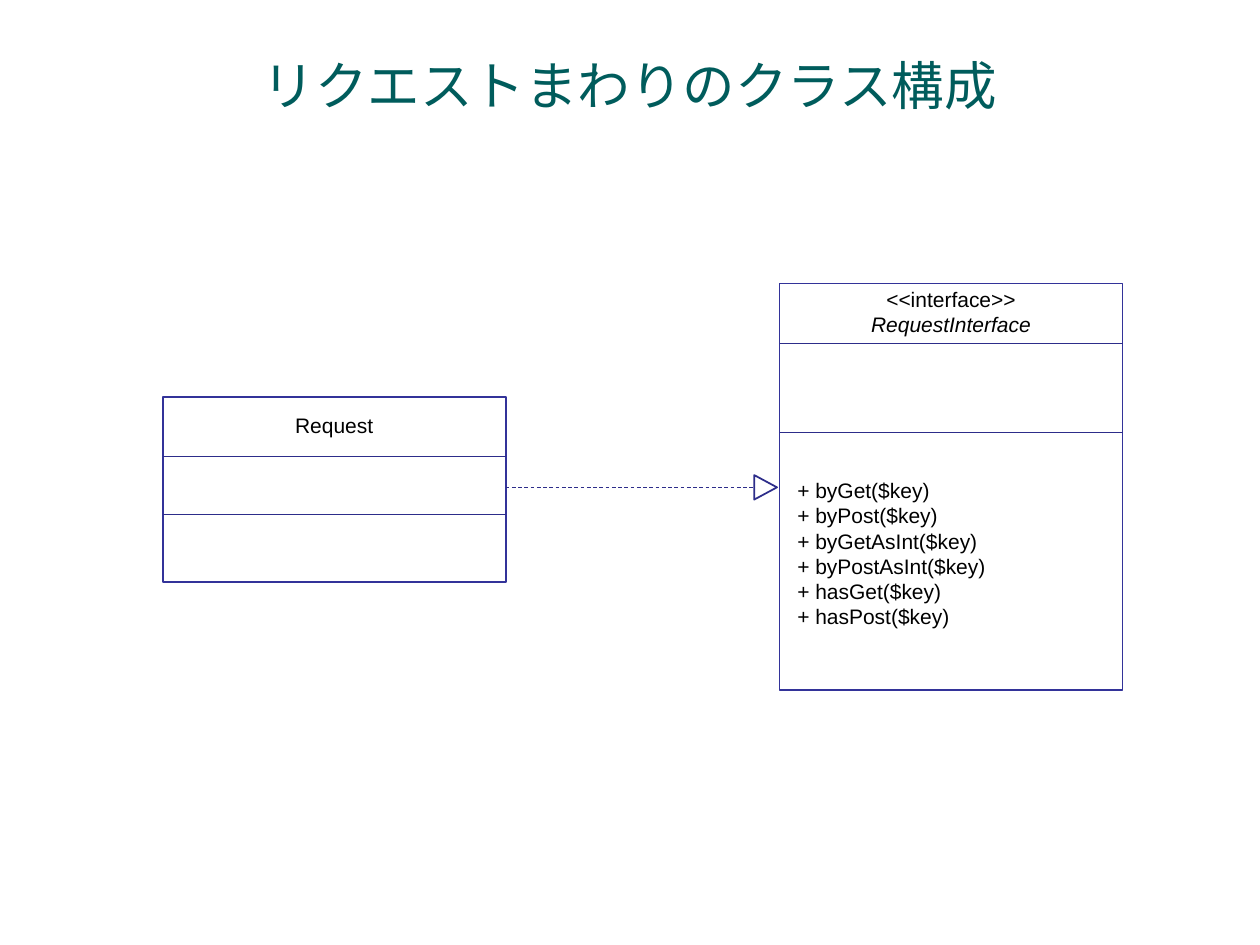
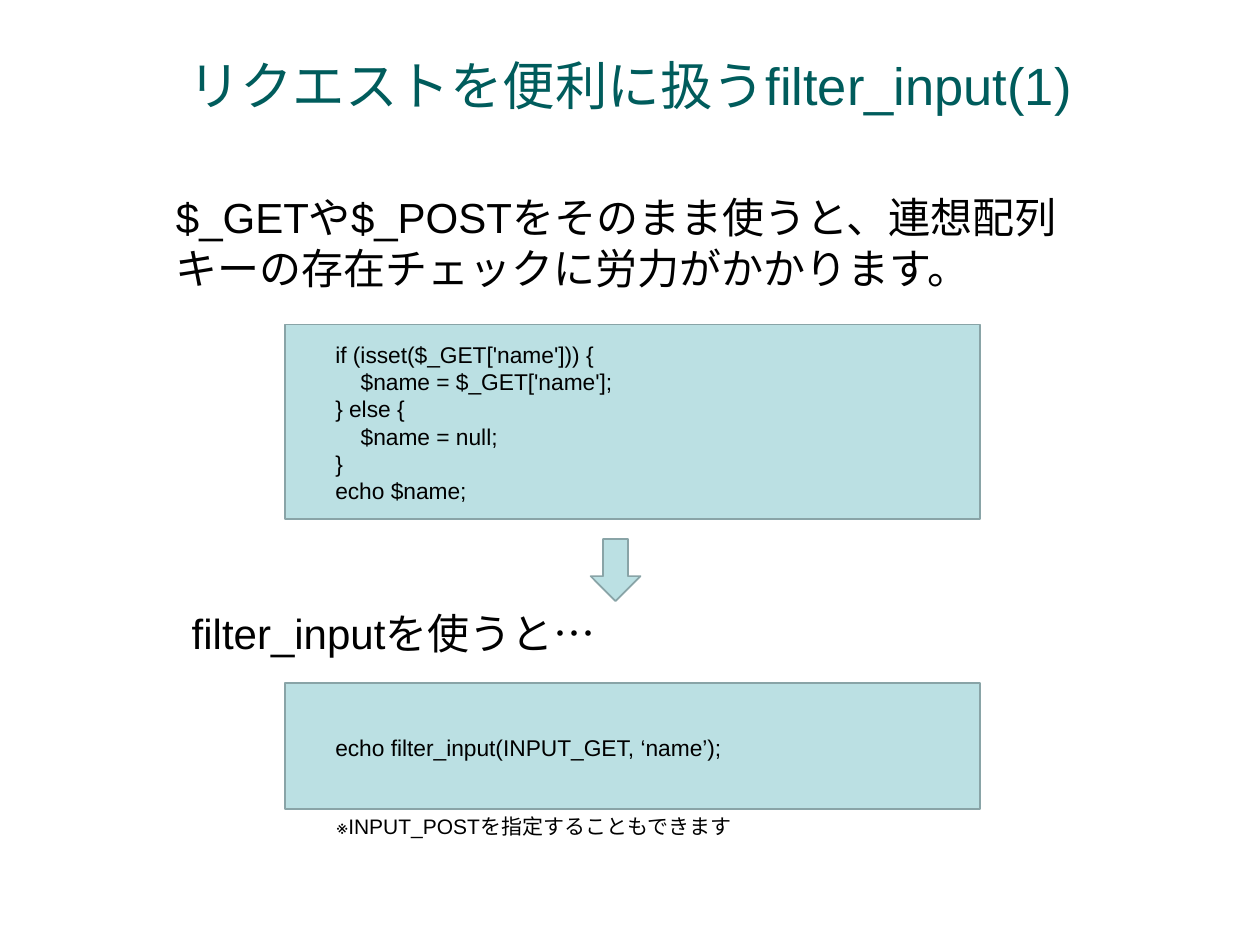
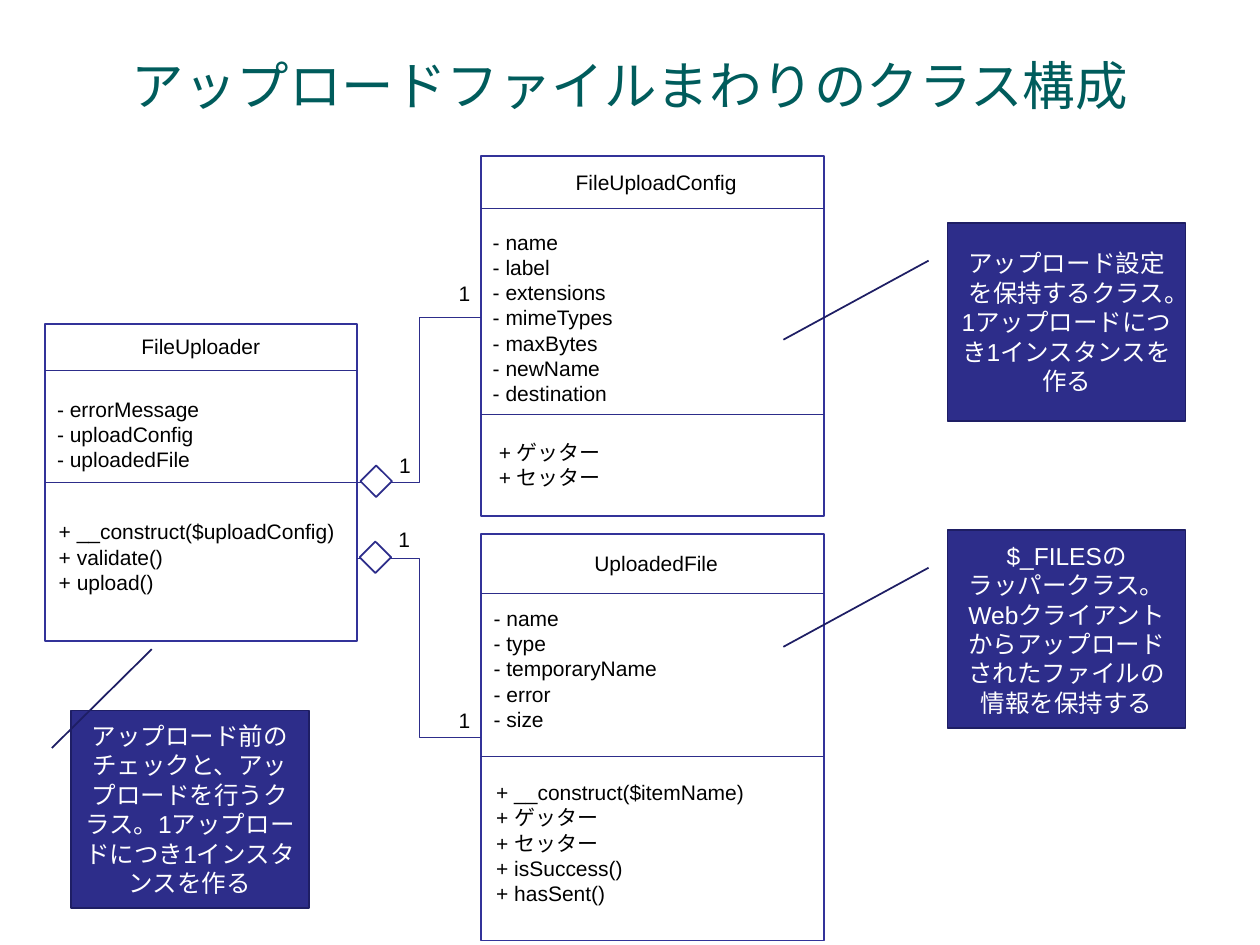
from pptx import Presentation
from pptx.dml.color import RGBColor
from pptx.enum.dml import MSO_LINE_DASH_STYLE as Dash
from pptx.enum.shapes import MSO_CONNECTOR as Connector, MSO_SHAPE as Shape
from pptx.enum.text import MSO_ANCHOR as Anchor, PP_ALIGN as Align
from pptx.oxml.ns import qn
from pptx.util import Pt
from lxml.etree import SubElement

FONT = "Arial"
COLORS = {
    "title": "005C5C",
    "text": "000000",
    "white": "FFFFFF",
    "class_border": "333399",
    "navy": "2D2D8A",
    "note_border": "1E1E64",
    "code": "BBE0E3",
    "code_border": "89A4A7",
}


def rgb(name):
    return RGBColor.from_string(COLORS[name])


def write_text(shape, lines, size=12, color="text", align=Align.LEFT,
               anchor=Anchor.TOP, italics=(), indents=()):
    frame = shape.text_frame
    frame.word_wrap = True
    frame.vertical_anchor = anchor
    for index, line in enumerate(lines):
        paragraph = frame.paragraphs[0] if index == 0 else frame.add_paragraph()
        paragraph.alignment = align
        if index in indents:
            paragraph._p.get_or_add_pPr().set("marL", str(Pt(14.5)))
        run = paragraph.add_run()
        run.text = line
        run.font.name = FONT
        run.font.size = Pt(size)
        run.font.italic = index in italics
        run.font.color.rgb = rgb(color)


def add_text(slide, left, top, width, lines, size=12, height=None, **style):
    height = height or len(lines) * size * 1.2 + 7.2
    box = slide.shapes.add_textbox(Pt(left), Pt(top), Pt(width), Pt(height))
    write_text(box, lines, size=size, **style)


def add_box(shapes, kind, box, fill, border):
    shape = shapes.add_shape(kind, *map(Pt, box))
    shape.shadow.inherit = False
    shape.fill.solid()
    shape.fill.fore_color.rgb = rgb(fill)
    shape.line.color.rgb = rgb(border)
    shape.line.width = Pt(1)
    return shape


def add_line(shapes, start, end, kind=Connector.STRAIGHT, dash=None):
    line = shapes.add_connector(kind, *map(Pt, (*start, *end)))
    line.line.color.rgb = rgb("navy")
    line.line.width = Pt(0.5)
    if dash:
        line.line.dash_style = dash
    SubElement(line._element.spPr, qn("a:effectLst"))


def add_title(slide, title):
    add_text(slide, 54, 18, 612, [title], size=30, height=60, color="title",
             align=Align.CENTER, anchor=Anchor.MIDDLE)


def add_class(slide, box, dividers, name, *members, italics=()):
    left, top, width, height = box
    group = slide.shapes.add_group_shape()
    add_box(group.shapes, Shape.RECTANGLE, box, "white", "class_border")
    for divider in dividers:
        add_line(group.shapes, (left, top + divider), (left + width, top + divider))
    x, y, lines = name
    add_text(slide, left + x, top + y, width, lines, align=Align.CENTER, italics=italics)
    for x, y, lines in members:
        add_text(slide, left + x, top + y, width - x, lines)


def add_code(slide, box, text_offset, lines, indents=()):
    left, top, width, height = box
    add_box(slide.shapes, Shape.RECTANGLE, box, "code", "code_border")
    add_text(slide, left + 21.5, top + text_offset, width - 21.5, lines,
             size=13, indents=indents)


def add_note(slide, left, top, lines, pointer):
    note = add_box(slide.shapes, Shape.LINE_CALLOUT_1, (left, top, 136, 113),
                   "navy", "note_border")
    for index, value in enumerate((0.19, -0.08, *pointer)):
        note.adjustments[index] = value
    write_text(note, lines, size=14, color="white", align=Align.CENTER,
               anchor=Anchor.MIDDLE)


def request_classes(slide):
    add_title(slide, "リクエストまわりのクラス構成")
    methods = ("byGet", "byPost", "byGetAsInt", "byPostAsInt", "hasGet", "hasPost")
    add_class(slide, (445.5, 162, 196, 232.5), (34.5, 85),
              (0, -2, ["<<interface>>", "RequestInterface"]),
              (3, 107.5, [f"+ {method}($key)" for method in methods]), italics=(1,))
    add_class(slide, (93, 227, 196, 105.5), (34, 67), (0, 5, ["Request"]))
    triangle = add_box(slide.shapes, Shape.ISOSCELES_TRIANGLE,
                       (430.5, 272, 14, 13), "white", "navy")
    triangle.rotation = 90
    add_line(slide.shapes, (289, 278.5), (430.5, 278.5), dash=Dash.DASH)


def filter_input_usage(slide):
    add_title(slide, "リクエストを便利に扱うfilter_input(1)")
    add_text(slide, 93.5, 106, 562,
             ["$_GETや$_POSTをそのまま使うと、連想配列キーの存在チェックに労力がかかります。"],
             size=24, height=65)
    add_code(slide, (163, 185.5, 397, 111), 5.5,
             ["if (isset($_GET['name'])) {", "$name = $_GET['name'];", "} else {",
              "$name = null;", "}", "echo $name;"], indents=(1, 3))
    add_box(slide.shapes, Shape.DOWN_ARROW, (337.5, 308, 28.5, 35.5), "code", "code_border")
    add_text(slide, 102.5, 343.5, 562, ["filter_inputを使うと…"], size=24)
    add_code(slide, (163, 390.5, 397, 72), 25, ["echo filter_input(INPUT_GET, ‘name’);"])
    add_text(slide, 185, 461.5, 284, ["※INPUT_POSTを指定することもできます"])


def upload_classes(slide):
    add_title(slide, "アップロードファイルまわりのクラス構成")
    accessors = ["+ ゲッター", "+ セッター"]
    add_class(slide, (275, 305, 196, 232.5), (34, 127.5),
              (2, 6, ["UploadedFile"]),
              (0, 37.5, ["- name", "- type", "- temporaryName", "- error", "- size"]),
              (1.5, 137, ["+ __construct($itemName)", *accessors,
                          "+ isSuccess()", "+ hasSent()"]))
    add_class(slide, (275, 89, 196, 206), (30, 148),
              (2, 4.5, ["FileUploadConfig"]),
              (-0.5, 38.5, ["- name", "- label", "- extensions", "- mimeTypes",
                            "- maxBytes", "- newName", "- destination"]),
              (3, 158.5, accessors))
    add_class(slide, (25.5, 185, 178.5, 181.5), (26.5, 90.5),
              (0, 2, ["FileUploader"]),
              (0, 38, ["- errorMessage", "- uploadConfig", "- uploadedFile"]),
              (1, 108, ["+ __construct($uploadConfig)", "+ validate()", "+ upload()"]))

    add_note(slide, 541.5, 303, [
        "$_FILESの",
        "ラッパークラス。Webクライアントからアップロードされたファイルの情報を保持する",
    ], (0.59, -0.69))
    add_note(slide, 541.5, 127.5, [
        "アップロード設定を保持するクラス。",
        "1アップロードにつき1インスタンスを作る",
    ], (0.59, -0.69))
    add_note(slide, 40.5, 406, [
        "アップロード前のチェックと、アップロードを行うクラス。1アップロードにつき1インスタンスを作る",
    ], (-0.31, 0.34))

    for start, end in (((204, 275.5), (275, 181.5)), ((204, 319), (275, 421.5))):
        add_line(slide.shapes, start, end, kind=Connector.ELBOW)
    for left, top in ((221, 255), (220.5, 297.5), (255, 401), (255, 157)):
        add_text(slide, left, top, 23, ["1"])
    for left, top in ((206, 266), (205.5, 309.5)):
        add_box(slide.shapes, Shape.DIAMOND, (left, top, 18, 18), "white", "navy")


def main():
    presentation = Presentation()
    presentation.slide_width, presentation.slide_height = Pt(720), Pt(540)
    for build in (request_classes, filter_input_usage, upload_classes):
        build(presentation.slides.add_slide(presentation.slide_layouts[6]))
    presentation.save("out.pptx")


if __name__ == "__main__":
    main()
